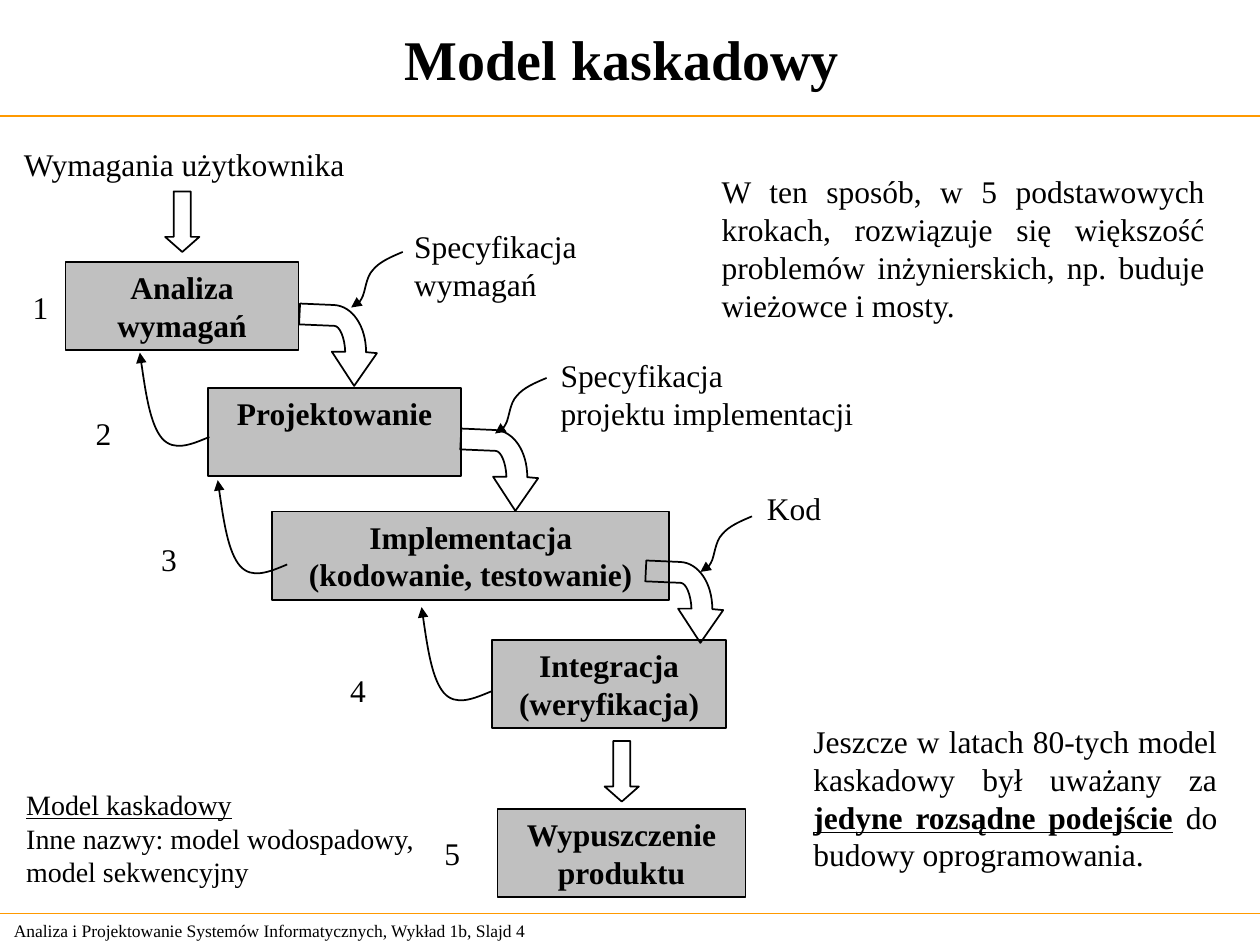
from dataclasses import dataclass, field
from typing import Any

from pptx import Presentation
from pptx.dml.color import RGBColor
from pptx.enum.shapes import MSO_CONNECTOR as Connector, MSO_SHAPE as Preset
from pptx.enum.text import MSO_ANCHOR as Anchor, PP_ALIGN as Align
from pptx.oxml.ns import qn
from pptx.oxml.xmlchemy import OxmlElement
from pptx.util import Cm, Pt

BLACK = RGBColor(0x00, 0x00, 0x00)
GRAY = RGBColor(0xC0, 0xC0, 0xC0)
ORANGE = RGBColor(0xFF, 0x99, 0x00)

BASE = {"name": "Times New Roman", "size": Pt(18), "bold": False, "underline": False}
BOLD = {"bold": True}
UNDERLINED = {"underline": True}
SMALL = {"size": Pt(16)}

Point = tuple[float, float]
Run = tuple[str, dict[str, Any]]
Box = tuple[float, float, float, float]


@dataclass
class Stage:
    box: Box
    lines: list[str]
    number: str
    number_at: Point


@dataclass
class Caption:
    box: Box
    paragraphs: list[list[Run]]
    align: Align = Align.LEFT
    anchor: Anchor = Anchor.TOP
    wrap: bool = True


@dataclass
class Outline:
    points: list[Point]
    segments: str
    starts: list[Point] = field(default_factory=list)
    closed: bool = False


STAGES = [
    Stage((1.32, 5.28, 4.7, 1.78), ["Analiza", "wymagań"], "1", (0.41, 5.69)),
    Stage((4.19, 7.82, 5.11, 1.78), ["Projektowanie"], "2", (1.68, 8.23)),
    Stage((5.49, 10.31, 8, 1.78), ["Implementacja", "(kodowanie, testowanie)"], "3", (3, 10.77)),
    Stage((9.92, 12.9, 4.72, 1.78), ["Integracja", "(weryfikacja)"], "4", (6.81, 13.41)),
    Stage((10.03, 16.31, 5, 1.78), ["Wypuszczenie produktu"], "5", (8.71, 16.69)),
]

CAPTIONS = [
    Caption((0, 0, 25.37, 2.34), [[("Model kaskadowy ", {"size": Pt(32), "bold": True})]],
            Align.CENTER, Anchor.MIDDLE),
    Caption((0.03, 18.42, 12.07, 0.69),
            [[("Analiza i Projektowanie Systemów Informatycznych, Wykład 1b, Slajd 4",
               {"size": Pt(10)})]], anchor=Anchor.MIDDLE),
    Caption((0.23, 2.79, 7.01, 1.02), [[("Wymagania użytkownika", {})]], wrap=False),
    Caption((8.1, 4.45, 4.01, 1.78), [[("Specyfikacja", {})], [("wymagań", {})]], Align.JUSTIFY),
    Caption((11.05, 7.06, 6.5, 1.78),
            [[("Specyfikacja", {})], [("projektu implementacji", {})]], Align.JUSTIFY),
    Caption((15.21, 9.73, 2.13, 1.02), [[("Kod", {})]]),
    Caption((14.3, 3.35, 10.24, 3.3),
            [[("W ten sposób, w 5 podstawowych krokach, rozwiązuje się większość problemów "
               "inżynierskich, np. buduje wieżowce i mosty.", {})]], Align.JUSTIFY),
    Caption((16.15, 14.43, 8.64, 3.3),
            [[("Jeszcze w latach 80-tych model kaskadowy był uważany za ", {}),
              ("jedyne rozsądne podejście", BOLD | UNDERLINED),
              (" do budowy oprogramowania.", {})]], Align.JUSTIFY),
    Caption((0.28, 15.75, 8.36, 2.29),
            [[("Model kaskadowy", SMALL | UNDERLINED)],
             [("Inne nazwy: model wodospadowy,", SMALL)],
             [("model sekwencyjny", SMALL)]], wrap=False),
]

OUTLINES = [
    Outline([(0.69, 0.03), (1.05, 0.05), (1.33, 0.45), (1.33, 0.98), (1.55, 1), (1.09, 1.66),
             (0.64, 0.97), (0.91, 0.97), (0.9, 0.69), (0.8, 0.45), (0.69, 0.45), (-0.02, 0.42)],
            "LCLLLLCL", [(6.05, 6.12), (9.3, 8.64), (13.03, 11.3)], closed=True),
    Outline([(-0.36, 0.15), (-0.71, 0.3), (-0.95, 0.03), (-1.19, -0.25), (-1.3, -0.99),
             (-1.4, -1.7)],
            "CC", [(4.22, 8.81), (5.79, 11.38), (9.9, 13.94)]),
    Outline([(-0.24, 0.1), (-0.47, 0.2), (-0.6, 0.36), (-0.75, 0.51), (-0.75, 0.81),
             (-0.83, 0.94), (-0.91, 1.07), (-0.98, 1.09), (-1.04, 1.12)],
            "CCC", [(8.12, 5.08), (11.02, 7.62), (15.16, 10.41)]),
]

INPUT_ARROWS = [(3.33, 3.86), (12.19, 14.94)]
RULES = [2.34, 18.42]


def write(shape: Any, caption: Caption) -> None:
    frame = shape.text_frame
    frame.word_wrap = caption.wrap
    frame.vertical_anchor = caption.anchor
    for index, runs in enumerate(caption.paragraphs):
        paragraph = frame.add_paragraph() if index else frame.paragraphs[0]
        paragraph.alignment = caption.align
        for text, style in runs:
            run = paragraph.add_run()
            run.text = text
            run.font.color.rgb = BLACK
            for key, value in (BASE | style).items():
                setattr(run.font, key, value)


def ink(shape: Any) -> None:
    shape.shadow.inherit = False
    shape.fill.background()
    shape.line.color.rgb = BLACK
    shape.line.width = Pt(1)


def draw_caption(shapes: Any, caption: Caption) -> None:
    write(shapes.add_textbox(*map(Cm, caption.box)), caption)


def draw_stage(shapes: Any, stage: Stage) -> None:
    block = shapes.add_shape(Preset.RECTANGLE, *map(Cm, stage.box))
    ink(block)
    block.fill.solid()
    block.fill.fore_color.rgb = GRAY
    write(block, Caption(stage.box, [[(line, BOLD)] for line in stage.lines], Align.CENTER))
    draw_caption(shapes, Caption((*stage.number_at, 0.81, 1.02), [[(stage.number, {})]], wrap=False))


def bend(shape: Any, segments: str) -> None:
    steps = iter(list(shape.element.iter(qn("a:lnTo"))))
    for segment in segments:
        first = next(steps)
        if segment == "C":
            curve = OxmlElement("a:cubicBezTo")
            first.addprevious(curve)
            for step in (first, next(steps), next(steps)):
                curve.append(step[0])
                step.getparent().remove(step)


def draw_outline(shapes: Any, outline: Outline) -> None:
    for x, y in outline.starts:
        builder = shapes.build_freeform(Cm(x), Cm(y))
        builder.add_line_segments([(Cm(x + dx), Cm(y + dy)) for dx, dy in outline.points],
                                  close=outline.closed)
        arrow = builder.convert_to_shape()
        bend(arrow, outline.segments)
        ink(arrow)
        if not outline.closed:
            tail = OxmlElement("a:tailEnd")
            tail.set("type", "triangle")
            arrow.element.spPr.find(qn("a:ln")).append(tail)


def draw_input_arrow(shapes: Any, at: Point) -> None:
    arrow = shapes.add_shape(Preset.DOWN_ARROW, *map(Cm, (*at, 0.69, 1.22)))
    arrow.adjustments[1] = 0.44
    ink(arrow)


def draw_rule(shapes: Any, y: float) -> None:
    rule = shapes.add_connector(Connector.STRAIGHT, Cm(0), Cm(y), Cm(25.4), Cm(y))
    rule.line.color.rgb = ORANGE
    rule.line.width = Pt(0.75)
    rule.element.spPr.append(OxmlElement("a:effectLst"))


def main() -> None:
    """Build the waterfall model slide."""
    deck = Presentation()
    deck.slide_width, deck.slide_height = Cm(25.4), Cm(19.05)
    shapes = deck.slides.add_slide(deck.slide_layouts[6]).shapes
    for draw, items in ((draw_rule, RULES), (draw_stage, STAGES), (draw_outline, OUTLINES),
                        (draw_input_arrow, INPUT_ARROWS), (draw_caption, CAPTIONS)):
        for item in items:
            draw(shapes, item)
    deck.save("out.pptx")


if __name__ == "__main__":
    main()
